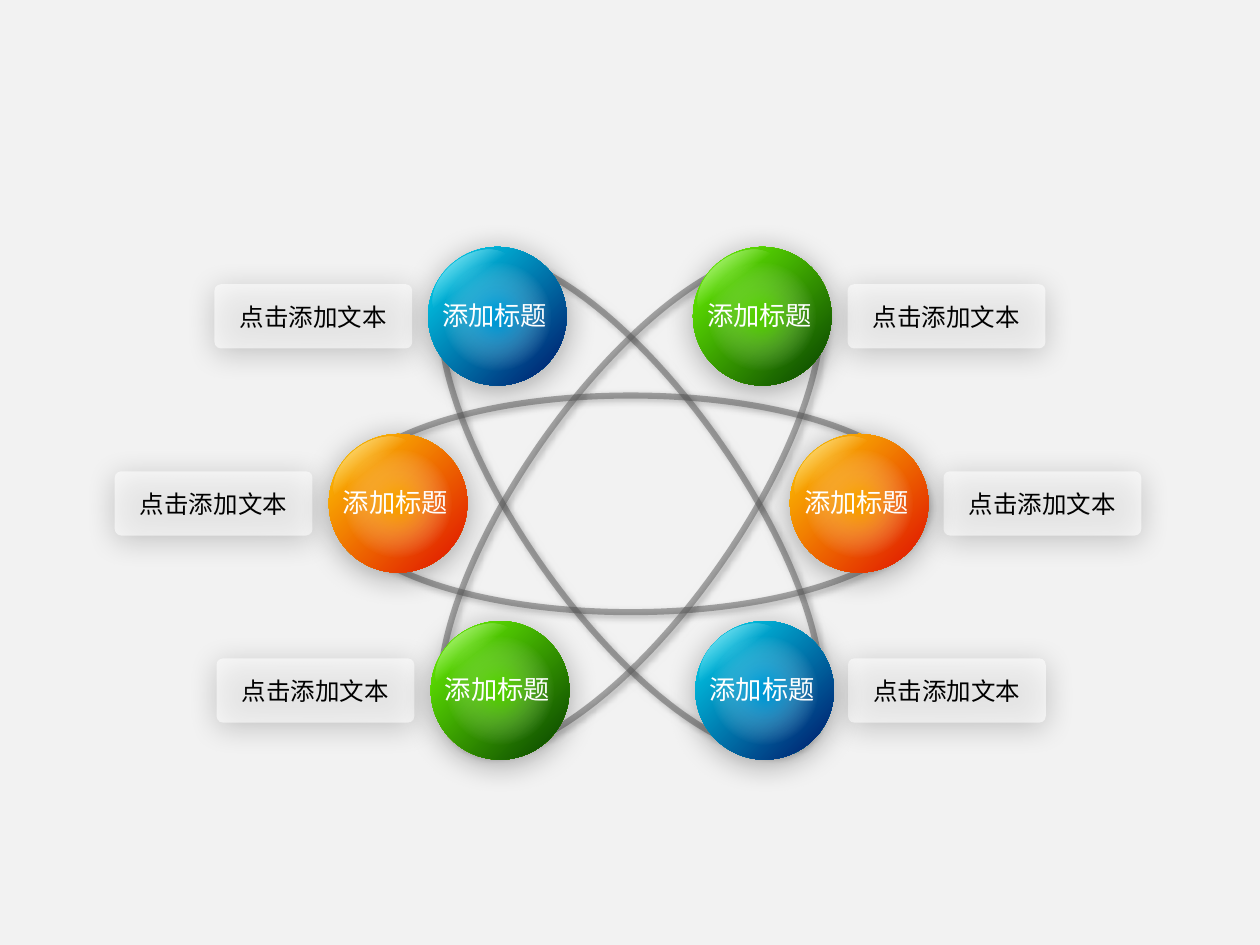
"""Build a slide of six glossy orbs on three crossing orbits, each with a caption."""
from dataclasses import dataclass

from lxml import etree
from pptx import Presentation
from pptx import util as u
from pptx.dml import color as dml
from pptx.enum import shapes, text
from pptx.oxml import ns

Pt = u.Pt
FONT = "Noto Sans CJK SC"
ROW_TOPS = (141.1, 248, 354.9)
ORB_SIZE = 79.2
OVAL = shapes.MSO_SHAPE.OVAL


@dataclass(frozen=True)
class Stop:
    position: int
    color: str
    opacity: int = 100


@dataclass(frozen=True)
class Shadow:
    opacity: int
    blur: float
    distance: float
    angle: int


@dataclass(frozen=True)
class Palette:
    light: str
    dark: str
    glow: str
    glow_opacity: int


@dataclass(frozen=True)
class Item:
    row: int
    orb_left: float
    caption_left: float
    palette: Palette


RING_SHADOW = Shadow(50, 4, 2, 45)
SOFT_SHADOW = Shadow(33, 17.8, 3, 87)
BLUE = Palette("00DFF6", "002774", "00B0F0", 60)
GREEN = Palette("6EFF01", "0F5000", "6EFF01", 50)
ORANGE = Palette("FFCF01", "E22000", "FFC000", 60)
GLOSS = (Stop(0, "FFFFFF"), Stop(45, "FFFFFF", 0))
ITEMS = (
    Item(2, 397.4, 484.6, BLUE),
    Item(0, 244.6, 122.6, BLUE),
    Item(2, 246.2, 123.8, GREEN),
    Item(1, 451.4, 539.2, ORANGE),
    Item(1, 187.9, 65.6, ORANGE),
    Item(0, 396, 484.4, GREEN),
)


def rgb(value: str) -> dml.RGBColor:
    return dml.RGBColor.from_string(value)


def add_node(parent, tag: str, **attributes):
    values = {name: str(value) for name, value in attributes.items()}
    return etree.SubElement(parent, ns.qn(tag), values)


def add_color(parent, value: str, opacity: int) -> None:
    node = add_node(parent, "a:srgbClr", val=rgb(value))
    add_node(node, "a:alpha", val=opacity * 1000)


def fade(shape, opacity: int) -> None:
    node = shape._element.spPr.find(".//" + ns.qn("a:srgbClr"))
    add_node(node, "a:alpha", val=opacity * 1000)


def cast_shadow(shape, shadow: Shadow) -> None:
    effects = shape._element.spPr.find(ns.qn("a:effectLst"))
    node = add_node(effects, "a:outerShdw", blurRad=Pt(shadow.blur), dist=Pt(shadow.distance),
                    dir=shadow.angle * 60000, algn="ctr", rotWithShape=0)
    add_color(node, "000000", shadow.opacity)


def fill_gradient(shape, stops: tuple[Stop, ...], angle: int | None = None) -> None:
    gradient = etree.Element(ns.qn("a:gradFill"), rotWithShape="1")
    stop_list = add_node(gradient, "a:gsLst")
    for stop in stops:
        node = add_node(stop_list, "a:gs", pos=stop.position * 1000)
        add_color(node, stop.color, stop.opacity)
    if angle is None:
        radial = add_node(gradient, "a:path", path="circle")
        add_node(radial, "a:fillToRect", l=50000, t=50000, r=50000, b=50000)
    else:
        add_node(gradient, "a:lin", ang=angle * 60000, scaled=0)
    properties = shape._element.spPr
    properties.replace(properties.find(ns.qn("a:noFill")), gradient)


def add_plain(parent, kind, left: float, top: float, width: float, height: float):
    shape = parent.shapes.add_shape(kind, Pt(left), Pt(top), Pt(width), Pt(height))
    shape.shadow.inherit = False
    shape.fill.background()
    shape.line.fill.background()
    return shape


def write(box, words: str, size: float, color: str) -> None:
    box.text_frame.word_wrap = True
    para = box.text_frame.paragraphs[0]
    para.text = words
    para.alignment = text.PP_ALIGN.CENTER
    para.font.size = Pt(size)
    para.font.name = FONT
    para.font.color.rgb = rgb(color)
    latin = para._p.pPr.find(".//" + ns.qn("a:latin"))
    latin.addnext(etree.Element(ns.qn("a:ea"), typeface=FONT))


def add_ring(page, rotation: float) -> None:
    ring = add_plain(page, OVAL, 193, 226, 334.8, 123.8)
    ring.rotation = rotation
    ring.line.color.rgb = rgb("595959")
    ring.line.width = Pt(3.5)
    fade(ring, 50)
    cast_shadow(ring, RING_SHADOW)


def add_caption(page, item: Item) -> None:
    box = add_plain(page, shapes.MSO_SHAPE.ROUNDED_RECTANGLE,
                    item.caption_left, ROW_TOPS[item.row] + 21.3, 113, 36.7)
    box.adjustments[0] = 0.1
    box.fill.solid()
    box.fill.fore_color.rgb = rgb("FFFFFF")
    fade(box, 60)
    cast_shadow(box, SOFT_SHADOW)
    box.text_frame.vertical_anchor = text.MSO_ANCHOR.MIDDLE
    write(box, "点击添加文本", 14, "000000")


def add_orb(page, item: Item) -> None:
    left, top, palette = item.orb_left, ROW_TOPS[item.row], item.palette
    group = page.shapes.add_group_shape()
    ball = add_plain(group, OVAL, left, top, ORB_SIZE, ORB_SIZE)
    fill_gradient(ball, (Stop(0, palette.light), Stop(90, palette.dark)), 45)
    cast_shadow(ball, SOFT_SHADOW)
    gloss = add_plain(group, OVAL, left - 0.2, top + 4.7, 53.3, 36.7)
    gloss.rotation = 323.1
    fill_gradient(gloss, GLOSS, 90)
    glow = add_plain(group, OVAL, left + 8.5, top + 8.6, 62, 62.6)
    fill_gradient(glow, (Stop(10, palette.glow, palette.glow_opacity), Stop(70, "FFFFFF", 0)))
    label = page.shapes.add_textbox(Pt(left - 3), Pt(top + 26.4), Pt(82.1), Pt(25.9))
    label.text_frame.auto_size = text.MSO_AUTO_SIZE.SHAPE_TO_FIT_TEXT
    write(label, "添加标题", 15, "FFFFFF")


def main() -> None:
    deck = Presentation()
    deck.slide_width, deck.slide_height = Pt(720), Pt(540)
    page = deck.slides.add_slide(deck.slide_layouts.get_by_name("Blank"))
    page.background.fill.solid()
    page.background.fill.fore_color.rgb = rgb("F2F2F2")
    for rotation in (0, 54.9, 305.1):
        add_ring(page, rotation)
    for item in ITEMS:
        add_caption(page, item)
    for item in ITEMS:
        add_orb(page, item)
    deck.save("out.pptx")


if __name__ == "__main__":
    main()
